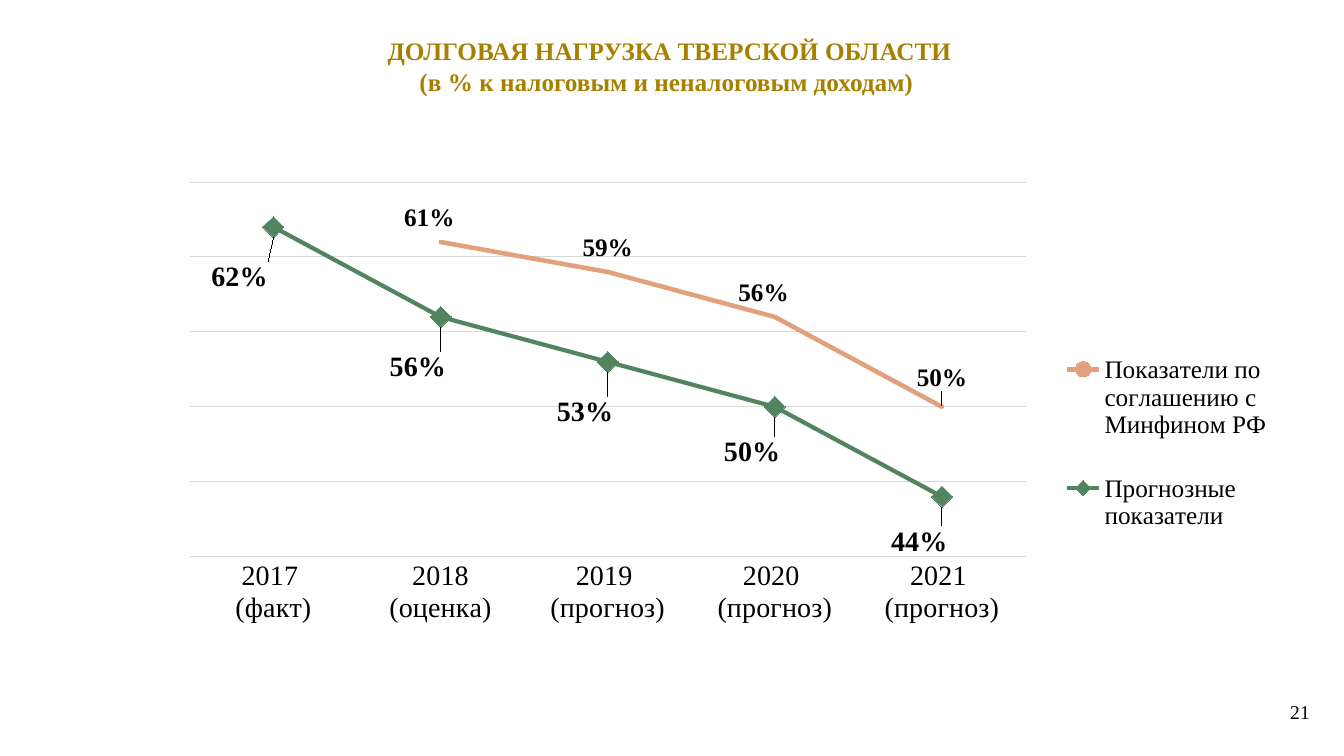
from dataclasses import dataclass

from lxml import etree
from pptx import Presentation
from pptx.chart.data import CategoryChartData
from pptx.dml.color import RGBColor
from pptx.enum.chart import (XL_CHART_TYPE, XL_LABEL_POSITION, XL_LEGEND_POSITION,
                             XL_MARKER_STYLE, XL_TICK_LABEL_POSITION, XL_TICK_MARK)
from pptx.enum.text import MSO_ANCHOR, PP_ALIGN
from pptx.oxml.ns import qn
from pptx.util import Inches, Pt

ABOVE, BELOW = XL_LABEL_POSITION.ABOVE, XL_LABEL_POSITION.BELOW
CIRCLE, DIAMOND = XL_MARKER_STYLE.CIRCLE, XL_MARKER_STYLE.DIAMOND
NO_TICK = XL_TICK_MARK.NONE

# Content
TITLE = "ДОЛГОВАЯ НАГРУЗКА ТВЕРСКОЙ ОБЛАСТИ\v(в % к налоговым и неналоговым доходам) "
PAGE_NUMBER = "21"
YEARS = ["2017 \n(факт)", "2018\n(оценка)", "2019 \n(прогноз)",
         "2020 \n(прогноз)", "2021 \n(прогноз)"]


@dataclass(frozen=True)
class Theme:
    font: str = "Times New Roman"
    gold: str = "A88000"
    black: str = "000000"
    grid: str = "D9D9D9"
    orange: str = "E1A17C"
    green: str = "528460"
    title: int = 18
    number: int = 14
    axis: int = 20
    legend: int = 18


THEME = Theme()

# Label shifts are shares of the chart's width and height, one pair per year
SERIES = [
    dict(name="Показатели по соглашению с Минфином РФ",
         values=[None, 0.61, 0.59, 0.56, 0.5], color=THEME.orange, width=3.25,
         marker=CIRCLE, marker_size=2, label_size=18, side=ABOVE,
         shifts=[None, (-0.01, -0.01), (0, -0.01), (-0.01, -0.01), (0, -0.02)]),
    dict(name="Прогнозные показатели",
         values=[0.62, 0.56, 0.53, 0.5, 0.44], color=THEME.green, width=3,
         marker=DIAMOND, marker_size=15, label_size=20, side=BELOW,
         shifts=[(-0.03, 0.04), (-0.02, 0.04), (-0.02, 0.04), (-0.02, 0.03), (-0.02, 0.03)]),
]


def style_font(font, size, color=THEME.black, bold=False):
    font.name, font.size, font.bold = THEME.font, Pt(size), bold
    font.color.rgb = RGBColor.from_string(color)


def write(shape, text, align, **style):
    frame = shape.text_frame
    frame.word_wrap = True
    frame.vertical_anchor = MSO_ANCHOR.MIDDLE
    para = frame.paragraphs[0]
    para.text, para.alignment = text, align
    for span in para.runs:
        style_font(span.font, **style)


def place(shape, left, top, width, height):
    shape.left, shape.top = Inches(left), Inches(top)
    shape.width, shape.height = Inches(width), Inches(height)


def paint_line(line, color, width):
    line.color.rgb = RGBColor.from_string(color)
    line.width = Pt(width)


def manual_layout(**settings):
    layout = etree.Element(qn("c:layout"))
    manual = etree.SubElement(layout, qn("c:manualLayout"))
    for key, value in settings.items():
        etree.SubElement(manual, qn(f"c:{key}")).set("val", str(value))
    return layout


def set_layout(parent, index, layout):
    for old in parent.findall(qn("c:layout")):
        parent.remove(old)
    parent.insert(index, layout)


def format_axes(chart):
    years = chart.category_axis
    years.major_tick_mark = NO_TICK
    style_font(years.tick_labels.font, THEME.axis)
    paint_line(years.format.line, THEME.grid, 0.75)
    shares = chart.value_axis
    shares.minimum_scale, shares.maximum_scale, shares.major_unit = 0.4, 0.65, 0.05
    shares.tick_label_position = XL_TICK_LABEL_POSITION.NONE
    shares.visible = False
    paint_line(shares.major_gridlines.format.line, THEME.grid, 0.75)


def format_series(series, item):
    series.smooth = False
    paint_line(series.format.line, item["color"], item["width"])
    marker = series.marker
    marker.style, marker.size = item["marker"], item["marker_size"]
    marker.format.fill.solid()
    marker.format.fill.fore_color.rgb = RGBColor.from_string(item["color"])
    paint_line(marker.format.line, item["color"], 0.75)
    labels = series.data_labels
    labels.show_value = True
    labels.number_format, labels.number_format_is_linked = "0%", False
    labels.position = item["side"]
    style_font(labels.font, item["label_size"], bold=True)
    for index, shift in enumerate(item["shifts"]):
        if shift:
            label = series.points[index].data_label
            label.position = item["side"]
            style_font(label.font, item["label_size"], bold=True)
    moved = [shift for shift in item["shifts"] if shift]
    for element, (x, y) in zip(labels._element.findall(qn("c:dLbl")), moved):
        set_layout(element, 1, manual_layout(x=x, y=y))


def add_debt_chart(page):
    data = CategoryChartData(number_format="0%")
    data.categories = YEARS
    for item in SERIES:
        data.add_series(item["name"], item["values"])
    frame = page.shapes.add_chart(XL_CHART_TYPE.LINE_MARKERS, Inches(1.66), Inches(1.66),
                                  Inches(11.2), Inches(4.89), data)
    chart = frame.chart
    chart.has_title = False
    chart.font.size, chart.font.name = Pt(10), "Calibri"
    chart.plots[0].vary_by_categories = False
    format_axes(chart)
    for series, item in zip(chart.plots[0].series, SERIES):
        format_series(series, item)

    # Legend and plot area
    chart.has_legend = True
    legend = chart.legend
    legend.position, legend.include_in_layout = XL_LEGEND_POSITION.RIGHT, False
    style_font(legend.font, THEME.legend)
    set_layout(legend._element, 1, manual_layout(
        xMode="edge", yMode="edge", x=0.78, y=0.31, w=0.21, h=0.5))
    plot_area = chart._chartSpace.find(".//" + qn("c:plotArea"))
    set_layout(plot_area, 0, manual_layout(
        layoutTarget="inner", xMode="edge", yMode="edge", x=0.02, y=0.03, w=0.74, h=0.76))


def main():
    deck = Presentation()
    deck.slide_width, deck.slide_height = Inches(13.33), Inches(7.5)
    page = deck.slides.add_slide(deck.slide_layouts[5])

    # Title and page number
    title = page.shapes.title
    place(title, 2.14, 0.15, 9, 1.01)
    write(title, TITLE, PP_ALIGN.CENTER, size=THEME.title, color=THEME.gold, bold=True)
    box = page.shapes.add_textbox(0, 0, 0, 0)
    place(box, 10.76, 6.86, 2.33, 0.4)
    write(box, PAGE_NUMBER, PP_ALIGN.RIGHT, size=THEME.number)

    add_debt_chart(page)
    deck.save("out.pptx")


if __name__ == "__main__":
    main()
